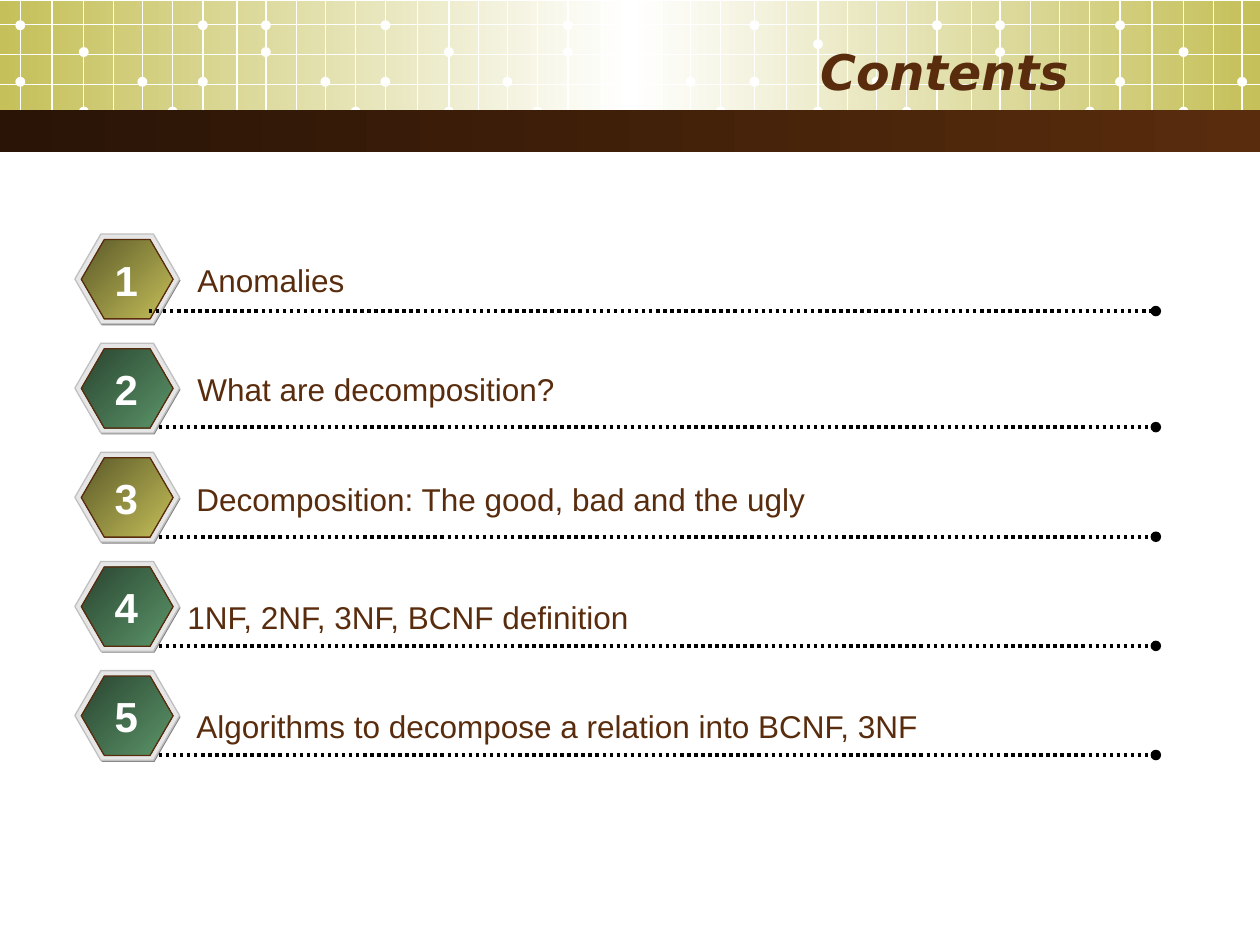
from copy import deepcopy

from lxml.etree import SubElement
from pptx import Presentation
from pptx.dml.color import RGBColor
from pptx.enum.dml import MSO_LINE
from pptx.enum.shapes import MSO_CONNECTOR, MSO_SHAPE, MSO_SHAPE_TYPE
from pptx.enum.text import MSO_ANCHOR, PP_ALIGN
from pptx.oxml.ns import qn
from pptx.util import Cm, Pt

WHITE = RGBColor(0xFF, 0xFF, 0xFF)
BLACK = RGBColor(0x00, 0x00, 0x00)
OLIVE = RGBColor(0xC5, 0xC0, 0x59)
DARK_OLIVE = RGBColor(0x5B, 0x59, 0x29)
GREEN = RGBColor(0x5B, 0x95, 0x69)
DARK_GREEN = RGBColor(0x2A, 0x45, 0x31)
BROWN = RGBColor(0x59, 0x2C, 0x0D)
DARK_BROWN = RGBColor(0x29, 0x14, 0x06)
GREY = RGBColor(0x80, 0x80, 0x80)
SILVER = RGBColor(0xC0, 0xC0, 0xC0)
LIGHT_GREY = RGBColor(0xE6, 0xE6, 0xE6)

prs = Presentation()
prs.slide_width, prs.slide_height = Cm(25.4), Cm(19.05)
slide = prs.slides.add_slide(prs.slide_layouts[6])


def put_shape(kind, left, top, width, height, colours, outline=None, angle=0):
    """Add a shape; several colours make an evenly spaced gradient."""
    shape = slide.shapes.add_shape(kind, Cm(left), Cm(top), Cm(width), Cm(height))
    shape.shadow.inherit = False
    if len(colours) == 1:
        shape.fill.solid()
        shape.fill.fore_color.rgb = colours[0]
    else:
        shape.fill.gradient()
        shape.fill.gradient_angle = angle
        stop_list = shape.element.spPr.find(qn("a:gradFill")).find(qn("a:gsLst"))
        for _ in colours[2:]:
            stop_list.append(deepcopy(stop_list[0]))
        for i, (stop, colour) in enumerate(zip(shape.fill.gradient_stops, colours)):
            stop.position = i / (len(colours) - 1)
            stop.color.rgb = colour
    if outline is None:
        shape.line.fill.background()
    else:
        shape.line.color.rgb = outline
        shape.line.width = Pt(0.75)
    return shape


def put_text(text, left, top, width, height, size, colour=BROWN, font="Arial",
             bold=False, italic=False, align=PP_ALIGN.LEFT,
             anchor=MSO_ANCHOR.TOP, wrap=True):
    frame = slide.shapes.add_textbox(Cm(left), Cm(top), Cm(width), Cm(height)).text_frame
    frame.word_wrap = wrap
    frame.vertical_anchor = anchor
    paragraph = frame.paragraphs[0]
    paragraph.text = text
    paragraph.alignment = align
    paragraph.font.name = font
    paragraph.font.size = Pt(size)
    paragraph.font.bold = bold
    paragraph.font.italic = italic
    paragraph.font.color.rgb = colour


# Banner
put_shape(MSO_SHAPE.RECTANGLE, 0, 0.02, 25.4, 2.6, [OLIVE, WHITE, OLIVE])

# Banner grid: the same twelve column offsets recur in every block
offsets = [0, 0.64, 1.28, 1.88, 2.46, 3.07, 3.68, 4.37, 4.95, 5.56, 6.15, 6.76]
columns = [start + offset for start in (0.41, 7.77, 15.21, 22.58) for offset in offsets]
columns = columns[:41]
grid = [(x, 0, x, 2.79) for x in columns]
grid += [(0, y, 25.4, y) for y in (0.5, 1.1, 1.7)]
for x1, y1, x2, y2 in grid:
    grid_line = slide.shapes.add_connector(
        MSO_CONNECTOR.STRAIGHT, Cm(x1), Cm(y1), Cm(x2), Cm(y2))
    grid_line.line.color.rgb = WHITE
    grid_line.line.width = Pt(0.75)

# Banner dots: height of the row and the columns it marks
dot_rows = {
    0.51: [0, 6, 8, 12, 18, 20, 24, 30, 32, 36],
    0.89: [26],
    1.05: [2, 8, 14, 18, 20, 32, 38],
    1.3: [30],
    1.65: [0, 4, 6, 10, 12, 16, 22, 24, 28, 34, 36, 40],
    2.25: [2, 5, 11, 14, 17, 23, 26, 29, 35, 38],
}
dot = 0.2
for y, marked in dot_rows.items():
    for column in marked:
        put_shape(MSO_SHAPE.OVAL, columns[column] - dot / 2, y - dot / 2, dot, dot, [WHITE])

# Dark bar and title
put_shape(MSO_SHAPE.RECTANGLE, 0, 2.22, 25.4, 0.84, [DARK_BROWN, BROWN])
put_text("Contents", 1.27, 0.64, 20.52, 1.57, size=28, font="DejaVu Sans", bold=True,
         italic=True, align=PP_ALIGN.RIGHT, anchor=MSO_ANCHOR.MIDDLE)

# Contents: topic, shades, topic left, topic drop, rule left, rule drop
olive_shades, green_shades = [DARK_OLIVE, OLIVE], [DARK_GREEN, GREEN]
topics = [
    ("Anomalies", olive_shades, 3.73, 0.41, 3, 1.55),
    ("What are decomposition?", green_shades, 3.73, 0.41, 3.2, 1.69),
    ("Decomposition: The good, bad and the ugly", olive_shades, 3.71, 0.43, 3.2, 1.7),
    ("1NF, 2NF, 3NF, BCNF definition", green_shades, 3.53, 0.62, 3.2, 1.7),
    ("Algorithms to decompose a relation into BCNF, 3NF", green_shades,
     3.71, 0.6, 3.2, 1.7),
]
for i, (topic, shades, topic_left, topic_drop, rule_left, rule_drop) in enumerate(topics):
    top = 4.72 + 2.2 * i
    badge = [
        (1.53, top + 0.03, 2.11, 1.81, [GREY], None),
        (1.51, top, 2.11, 1.81, [LIGHT_GREY], SILVER),
        (1.64, top + 0.11, 1.85, 1.6, shades, BROWN),
    ]
    for left, layer_top, width, height, colours, outline in badge:
        layer = put_shape(MSO_SHAPE.HEXAGON, left, layer_top, width, height, colours,
                          outline, angle=315)
        layer.adjustments[0] = 0.29

    rule = slide.shapes.add_connector(MSO_CONNECTOR.STRAIGHT, Cm(rule_left),
                                      Cm(top + rule_drop), Cm(23.3), Cm(top + rule_drop))
    rule.line.color.rgb = BLACK
    rule.line.width = Pt(2)
    rule.line.dash_style = MSO_LINE.ROUND_DOT
    SubElement(rule.line._get_or_add_ln(), qn("a:tailEnd"), type="oval")

    put_text(topic, topic_left, top + topic_drop, 20.5, 1.02, size=18)
    put_text(str(i + 1), 2.06, top + 0.28, 0.97, 1.27, size=24, colour=WHITE, bold=True,
             align=PP_ALIGN.CENTER, wrap=False)

# Lines carry no shadow
for shape in slide.shapes:
    if shape.shape_type == MSO_SHAPE_TYPE.LINE:
        SubElement(shape.element.spPr, qn("a:effectLst"))

prs.save("out.pptx")
